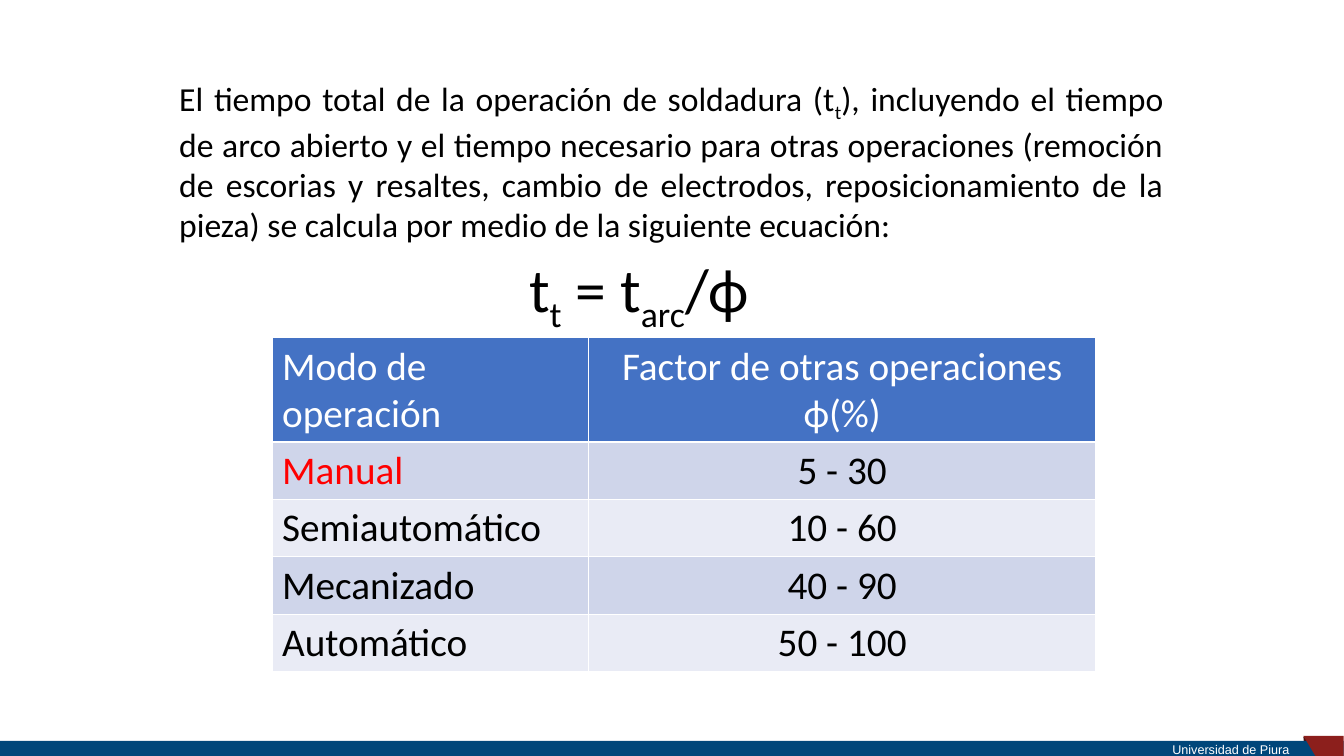
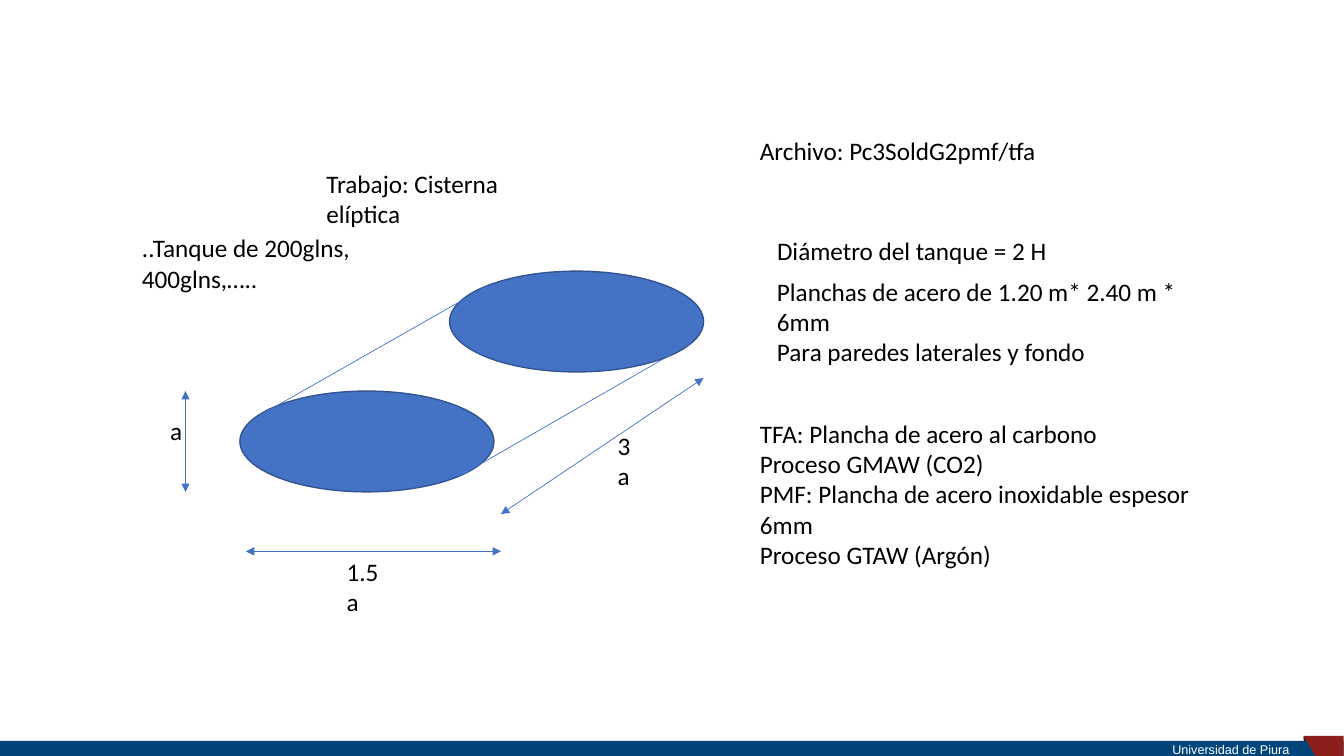
"""Build two welding slides: total operation time and the elliptical tank job."""
from dataclasses import dataclass

from lxml.etree import SubElement
from pptx import Presentation
from pptx.dml.color import RGBColor
from pptx.enum.shapes import MSO_CONNECTOR, MSO_SHAPE
from pptx.enum.text import MSO_ANCHOR, PP_ALIGN
from pptx.oxml.ns import qn
from pptx.util import Inches, Pt


@dataclass(frozen=True)
class Theme:
    font: str = "Calibri"
    footer_font: str = "Arial"
    ink: str = "000000"
    paper: str = "FFFFFF"
    accent: str = "4472C4"
    outline: str = "325491"
    alert: str = "FF0000"
    band: str = "00467A"
    corner: str = "8C1F1C"
    corner_fold: str = "49100F"
    row_tints: tuple = ("E9EBF5", "CFD5EA")
    footer_size: float = 9
    label_size: float = 18
    body_size: float = 24
    table_size: float = 28
    formula_size: float = 44
    thin_line: float = 0.5
    edge_line: float = 1


def apply_format(target, values):
    for name, value in values.items():
        setattr(target, name, value)


class SlideBuilder:
    def __init__(self, theme):
        self.theme = theme
        self.deck = Presentation()
        apply_format(self.deck, {"slide_width": Inches(13.333), "slide_height": Inches(7.5)})
        self.page = None

    def new_page(self):
        theme = self.theme
        self.page = self.deck.slides.add_slide(self.deck.slide_layouts[6])
        self.polygon([(12.93, 7.31), (12.94, 7.41), (13.04, 7.31)], theme.corner_fold)
        self.shape(MSO_SHAPE.RECTANGLE, (0, 7.35, 13.33, 0.15), theme.band)
        self.text(
            (6.67, 7.34, 6.67, 0.15), ["Universidad de Piura"], theme.footer_size,
            align=PP_ALIGN.RIGHT, color=theme.paper, font=theme.footer_font, spacing=1.2,
            frame={"vertical_anchor": MSO_ANCHOR.MIDDLE, "margin_top": 0,
                   "margin_bottom": 0, "margin_right": Inches(0.55)},
        )
        self.polygon([(12.93, 7.3), (13.33, 7.3), (13.33, 7.5), (13.05, 7.5)], theme.corner)

    def paint(self, shape, fill, outline=None):
        shape.shadow.inherit = False
        shape.fill.solid()
        shape.fill.fore_color.rgb = RGBColor.from_string(fill)
        if outline:
            shape.line.color.rgb = RGBColor.from_string(outline)
            shape.line.width = Pt(self.theme.edge_line)
        else:
            shape.line.fill.background()

    def shape(self, kind, place, fill, outline=None):
        self.paint(self.page.shapes.add_shape(kind, *map(Inches, place)), fill, outline)

    def polygon(self, points, fill):
        corners = [(Inches(x), Inches(y)) for x, y in points]
        outline = self.page.shapes.build_freeform(*corners[0])
        outline.add_line_segments(corners[1:], close=True)
        self.paint(outline.convert_to_shape(), fill)

    def fill_para(self, para, text, size, color, font, align=None, spacing=None):
        """Fill a paragraph; text between bars is set as a subscript."""
        apply_format(para, {"alignment": align, "line_spacing": spacing})
        for index, piece in enumerate(text.split("|")):
            span = para.add_run()
            span.text = piece
            apply_format(span.font, {"name": font, "size": Pt(size), "bold": False})
            span.font.color.rgb = RGBColor.from_string(color)
            if index % 2:
                span.font._element.set("baseline", "-25000")

    def text(self, place, lines, size, align=None, color=None, font=None, spacing=None, frame=None):
        box = self.page.shapes.add_textbox(*map(Inches, place)).text_frame
        apply_format(box, {"word_wrap": True, **(frame or {})})
        for index, line in enumerate(lines):
            para = box.add_paragraph() if index else box.paragraphs[0]
            self.fill_para(para, line, size, color or self.theme.ink,
                           font or self.theme.font, align, spacing)

    def line(self, start, end, arrows=False):
        line = self.page.shapes.add_connector(
            MSO_CONNECTOR.STRAIGHT, *map(Inches, (*start, *end)))
        line.line.color.rgb = RGBColor.from_string(self.theme.accent)
        line.line.width = Pt(self.theme.thin_line)
        properties = line._element.spPr
        if arrows:
            for tag in ("a:headEnd", "a:tailEnd"):
                SubElement(properties.find(qn("a:ln")), qn(tag), type="triangle")
        SubElement(properties, qn("a:effectLst"))

    def border(self, cell):
        properties = cell._tc.get_or_add_tcPr()
        for side in ("a:lnL", "a:lnR", "a:lnT", "a:lnB"):
            edge = SubElement(properties, qn(side), w=str(int(Pt(self.theme.edge_line))))
            fill = SubElement(edge, qn("a:solidFill"))
            SubElement(fill, qn("a:srgbClr"), val=self.theme.paper)

    def table(self, place, rows, widths, heights, highlight):
        theme = self.theme
        grid = self.page.shapes.add_table(
            len(rows), len(widths), *map(Inches, place)).table
        for column, width in zip(grid.columns, widths):
            column.width = Inches(width)
        for r, (values, height) in enumerate(zip(rows, heights)):
            grid.rows[r].height = Inches(height)
            for c, value in enumerate(values):
                cell = grid.cell(r, c)
                self.border(cell)
                cell.fill.solid()
                tint = theme.row_tints[r % 2] if r else theme.accent
                cell.fill.fore_color.rgb = RGBColor.from_string(tint)
                color = theme.ink if r else theme.paper
                if value == highlight:
                    color = theme.alert
                self.fill_para(cell.text_frame.paragraphs[0], value, theme.table_size, color,
                               theme.font, PP_ALIGN.CENTER if c else PP_ALIGN.LEFT)


def build_time_page(builder):
    theme = builder.theme
    builder.new_page()
    builder.text(
        (1.68, 0.72, 9.96, 1.72),
        ["El tiempo total de la operación de soldadura (t|t|), incluyendo el tiempo de arco "
         "abierto y el tiempo necesario para otras operaciones (remoción de escorias y resaltes, "
         "cambio de electrodos, reposicionamiento de la pieza) se calcula por medio de la "
         "siguiente ecuación:"],
        theme.body_size, align=PP_ALIGN.JUSTIFY,
    )
    builder.text((5.15, 2.44, 2.47, 0.84), ["t|t| = t|arc|/ϕ"], theme.formula_size)
    rows = [
        ("Modo de operación", "Factor de otras operaciones ϕ(%)"),
        ("Manual", "5 - 30"),
        ("Semiautomático", "10 - 60"),
        ("Mecanizado", "40 - 90"),
        ("Automático", "50 - 100"),
    ]
    builder.table((2.7, 3.35, 8.17, 3.3), rows, (3.14, 5.03), [1.02] + [0.57] * 4, "Manual")


def build_tank_page(builder):
    theme = builder.theme
    builder.new_page()
    for left, top in ((2.38, 3.88), (4.46, 2.69)):
        builder.shape(MSO_SHAPE.OVAL, (left, top, 2.52, 1), theme.accent, theme.outline)
    tank_sides = [((2.58, 4.12), (4.83, 2.84)), ((4.53, 4.74), (6.86, 3.4))]
    dimensions = [
        ((1.84, 3.88), (1.84, 4.88)),
        ((2.44, 5.47), (4.97, 5.47)),
        ((4.97, 5.1), (6.98, 3.75)),
    ]
    for start, end in tank_sides:
        builder.line(start, end)
    for start, end in dimensions:
        builder.line(start, end, arrows=True)
    labels = [
        ((3.14, 1.62, 2.63, 0.4), ["Trabajo: Cisterna elíptica"]),
        ((1.31, 2.26, 3.42, 0.4), ["..Tanque de 200glns, 400glns,….."]),
        ((7.61, 2.29, 2.99, 0.4), ["Diámetro del tanque = 2 H"]),
        ((7.61, 2.69, 4.56, 0.71), ["Planchas de acero de 1.20 m* 2.40 m * 6mm",
                                    "Para paredes laterales y fondo"]),
        ((1.59, 4.07, 0.31, 0.4), ["a"]),
        ((3.34, 5.47, 0.6, 0.4), ["1.5a"]),
        ((6.03, 4.22, 0.42, 0.4), ["3a"]),
        ((7.44, 4.1, 4.9, 1.31), ["TFA: Plancha de acero al carbono",
                                  "Proceso GMAW (CO2)",
                                  "PMF: Plancha de acero inoxidable espesor 6mm",
                                  "Proceso GTAW (Argón)"]),
        ((7.44, 1.29, 3, 0.4), ["Archivo: Pc3SoldG2pmf/tfa"]),
    ]
    for place, lines in labels:
        builder.text(place, lines, theme.label_size)


def main():
    builder = SlideBuilder(Theme())
    build_time_page(builder)
    build_tank_page(builder)
    builder.deck.save("out.pptx")


if __name__ == "__main__":
    main()
